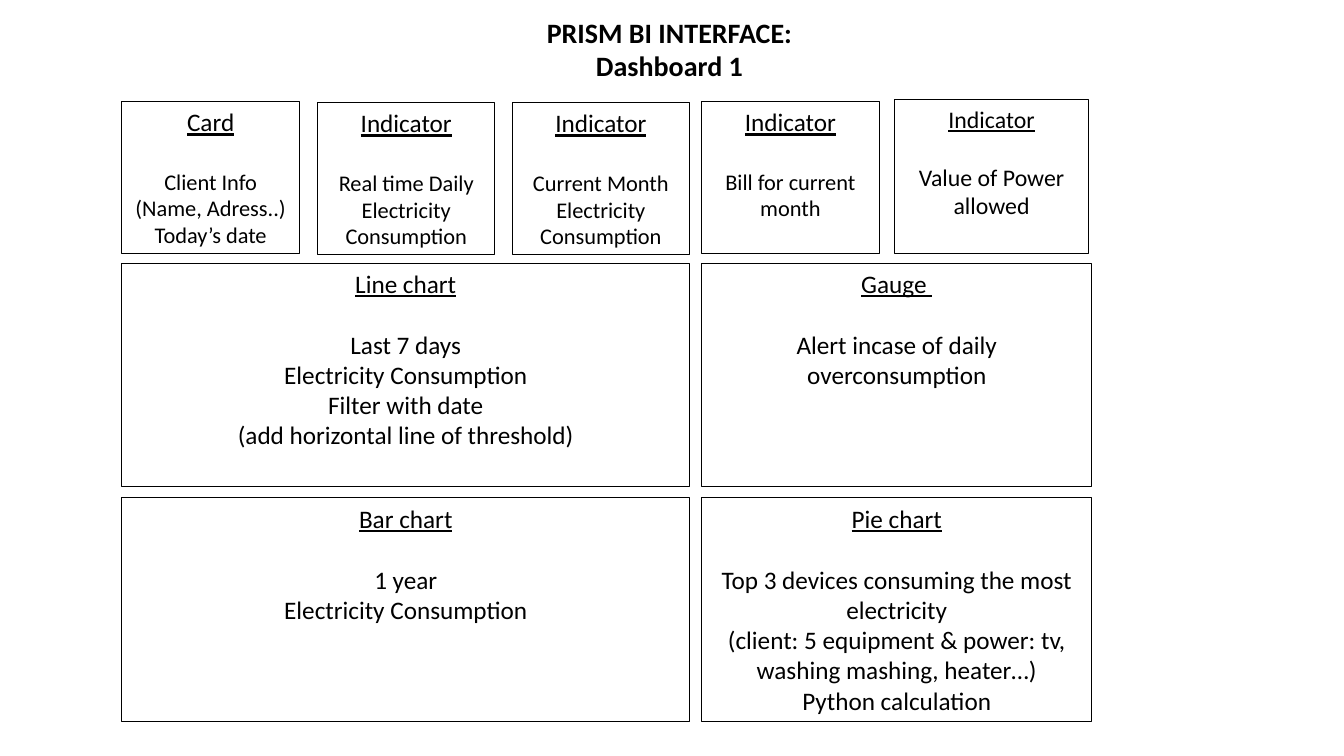
from pptx import Presentation
from pptx.dml.color import RGBColor
from pptx.enum.shapes import MSO_SHAPE
from pptx.enum.text import MSO_ANCHOR, PP_ALIGN
from pptx.util import Inches, Pt

FONT = "Calibri"
BLACK = "000000"
LINE_HEIGHT = 1.22
# Left edges of the five columns; panels end at the right edge of a column
COLUMNS = [1.21, 3.15, 5.08, 6.96, 8.87]
CARD_WIDTH = 1.76
WIDE_PANEL = 5.63
NARROW_PANEL = 3.87
CARD_HEIGHT = 1.51
PANEL_HEIGHT = 2.22
CARD_TOP = 1.01
PANEL_TOPS = [2.61, 4.94]

# heading, body lines, column, top, width, height, heading size, body size
TILES = [
    ("Card", ["Client Info", "(Name, Adress..)", "Today’s date"],
     0, CARD_TOP, CARD_WIDTH, CARD_HEIGHT, 18, 16),
    ("Indicator", ["Real time Daily Electricity Consumption"],
     1, CARD_TOP + 0.01, CARD_WIDTH, CARD_HEIGHT, 18, 16),
    ("Indicator", ["Current Month Electricity Consumption"],
     2, CARD_TOP + 0.01, CARD_WIDTH, CARD_HEIGHT, 18, 16),
    ("Indicator", ["Bill for current month"],
     3, CARD_TOP, CARD_WIDTH, CARD_HEIGHT, 18, 16),
    ("Indicator", ["Value of Power allowed"],
     4, CARD_TOP - 0.02, 1.93, CARD_HEIGHT + 0.02, 17, 17),
    ("Line chart", ["Last 7 days", "Electricity Consumption", "Filter with date",
                    "(add horizontal line of threshold)"],
     0, PANEL_TOPS[0], WIDE_PANEL, PANEL_HEIGHT, 18, 18),
    ("Gauge ", ["Alert incase of daily overconsumption"],
     3, PANEL_TOPS[0], NARROW_PANEL, PANEL_HEIGHT, 18, 18),
    ("Bar chart", ["1 year", "Electricity Consumption"],
     0, PANEL_TOPS[1], WIDE_PANEL, PANEL_HEIGHT, 18, 18),
    ("Pie chart", ["Top 3 devices consuming the most electricity",
                   "(client: 5 equipment & power: tv, washing mashing, heater…)",
                   "Python calculation"],
     3, PANEL_TOPS[1], NARROW_PANEL, PANEL_HEIGHT, 18, 18),
]


def color(hex_string):
    return RGBColor.from_string(hex_string)


def write_paragraph(paragraph, text, size, **font_format):
    paragraph.alignment = PP_ALIGN.CENTER
    run = paragraph.add_run()
    run.text = text
    font_format.update(name=FONT, size=Pt(size))
    for attribute, value in font_format.items():
        setattr(run.font, attribute, value)
    run.font.color.rgb = color(BLACK)


def prepare_frame(shape):
    """Wrap the text and start it at the top of the shape."""
    frame = shape.text_frame
    frame.word_wrap = True
    frame.vertical_anchor = MSO_ANCHOR.TOP
    return frame


def add_title(slide, text):
    box = slide.shapes.add_textbox(Inches(5.08), Inches(0.1), Inches(3.12), Inches(0.77))
    write_paragraph(prepare_frame(box).paragraphs[0], text, 20, bold=True)


def add_tile(slide, heading, lines, column, top, width, height, heading_size, body_size):
    """Add an outlined box with an underlined heading, a gap and body lines."""
    bounds = [Inches(length) for length in (COLUMNS[column], top, width, height)]
    shape = slide.shapes.add_shape(MSO_SHAPE.RECTANGLE, *bounds)
    shape.shadow.inherit = False
    shape.fill.background()
    shape.line.color.rgb = color(BLACK)
    shape.line.width = Pt(0.75)
    frame = prepare_frame(shape)
    title = frame.paragraphs[0]
    write_paragraph(title, heading, heading_size, underline=True)
    title.space_after = Pt(heading_size * LINE_HEIGHT)
    for line in lines:
        write_paragraph(frame.add_paragraph(), line, body_size)


def main():
    presentation = Presentation()
    presentation.slide_width = Inches(13.33)
    presentation.slide_height = Inches(7.5)
    slide = presentation.slides.add_slide(presentation.slide_layouts[6])
    add_title(slide, "PRISM BI INTERFACE: Dashboard 1")
    for tile in TILES:
        add_tile(slide, *tile)
    presentation.save("out.pptx")


if __name__ == "__main__":
    main()
